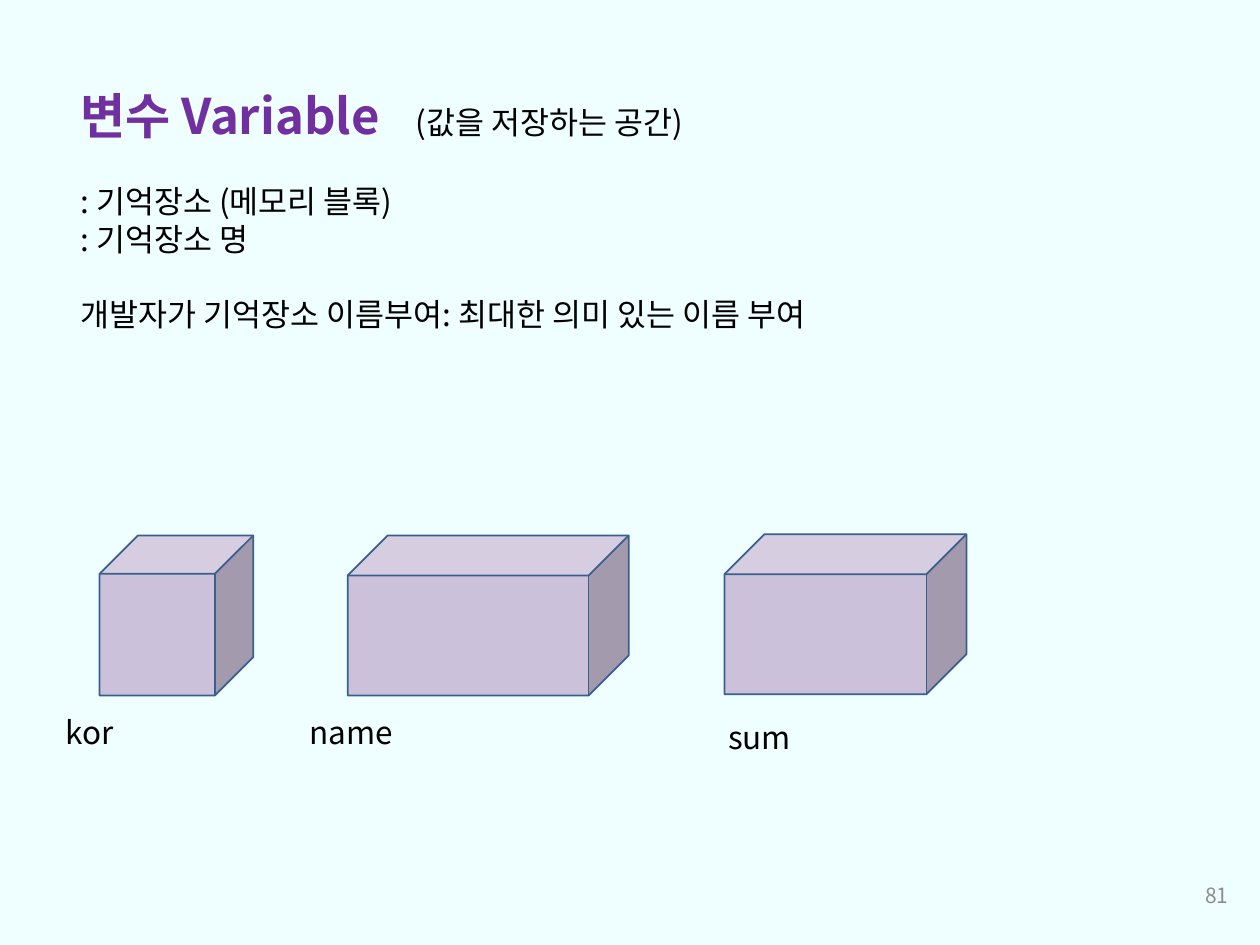
from typing import NamedTuple

from pptx import Presentation
from pptx import util as u
from pptx.dml.color import RGBColor
from pptx.enum import shapes, text
from pptx.oxml.ns import qn
from lxml import etree

FONT = "Noto Sans CJK KR"
COLORS = {
    "background": "EFFEFE",
    "title": "7030A0",
    "text": "000000",
    "cube": "CCC1DA",
    "edge": "3A5F8C",
    "number": "8C8C8C",
}
LINE_RATIO = 1.205  # line height relative to the text size
BODY_SIZE = 18
CUBE_HEIGHT = 1.27
LABEL_HEIGHT = 0.4


class Variable(NamedTuple):
    name: str
    cube_left: float
    cube_top: float
    cube_width: float
    label_left: float
    label_top: float
    label_width: float


VARIABLES = [
    Variable("kor", 0.79, 4.25, 1.22, 0.42, 5.61, 0.79),
    Variable("name", 2.76, 4.25, 2.23, 2.36, 5.61, 1.12),
    Variable("sum", 5.75, 4.24, 1.92, 5.68, 5.65, 0.79),
]


def color(name: str) -> RGBColor:
    return RGBColor.from_string(COLORS[name])


def format_run(run, size: float, color_name: str = "text", bold: bool = False) -> None:
    font = run.font
    font.size, font.bold, font.name = u.Pt(size), bold, FONT
    font.color.rgb = color(color_name)
    east_asian = etree.Element(qn("a:ea"), typeface=FONT)
    run._r.rPr.find(qn("a:latin")).addnext(east_asian)


def set_line_height(paragraph, size: float) -> None:
    paragraph.line_spacing = u.Pt(round(size * LINE_RATIO, 1))


def add_text(slide, left: float, top: float, width: float, height: float,
             content: str, size: float = BODY_SIZE, color_name: str = "text"):
    box = slide.shapes.add_textbox(*map(u.Inches, (left, top, width, height)))
    frame = box.text_frame
    frame.word_wrap = True
    frame.text = content
    for paragraph in frame.paragraphs:
        set_line_height(paragraph, size)
        for run in paragraph.runs:
            format_run(run, size, color_name)
    return frame


def add_tab_stop(paragraph, position: float) -> None:
    tabs = etree.SubElement(paragraph._p.get_or_add_pPr(), qn("a:tabLst"))
    etree.SubElement(tabs, qn("a:tab"), pos=str(u.Inches(position)), algn="l")


def add_variable(slide, variable: Variable) -> None:
    cube = slide.shapes.add_shape(
        shapes.MSO_SHAPE.CUBE, u.Inches(variable.cube_left), u.Inches(variable.cube_top),
        u.Inches(variable.cube_width), u.Inches(CUBE_HEIGHT))
    cube.shadow.inherit = False
    cube.fill.solid()
    cube.fill.fore_color.rgb = color("cube")
    cube.line.color.rgb = color("edge")
    cube.line.width = u.Pt(1)
    add_text(slide, variable.label_left, variable.label_top,
             variable.label_width, LABEL_HEIGHT, variable.name)


def add_explanation(slide) -> None:
    frame = add_text(slide, 0.54, 0.6, 8.35, 2.39, "\n".join([
        "변수 Variable",
        ": 기억장소 (메모리 블록)",
        ": 기억장소 명",
        "개발자가 기억장소 이름부여: 최대한 의미 있는 이름 부여",
    ]))
    heading, meaning, _, naming = frame.paragraphs
    # Heading with its smaller remark
    add_tab_stop(heading, 2.66)
    heading.line_spacing = u.Pt(36)
    heading.runs[0].font.size = u.Pt(28)
    heading.runs[0].font.bold = True
    heading.runs[0].font.color.rgb = color("title")
    remark = heading.add_run()
    remark.text = "\t(값을 저장하는 공간)"
    format_run(remark, BODY_SIZE)
    # One line of space before each group
    for paragraph in (meaning, naming):
        paragraph.space_before = u.Pt(21)


def main() -> None:
    presentation = Presentation()
    presentation.slide_width, presentation.slide_height = u.Inches(10), u.Inches(7.5)
    slide = presentation.slides.add_slide(presentation.slide_layouts[6])
    slide.background.fill.solid()
    slide.background.fill.fore_color.rgb = color("background")

    add_explanation(slide)

    # Memory blocks with their names
    for variable in VARIABLES:
        add_variable(slide, variable)

    # Slide number
    number = add_text(slide, 7.52, 6.9, 2.33, 0.4, "81", 12, "number")
    number.vertical_anchor = text.MSO_ANCHOR.MIDDLE
    number.paragraphs[0].alignment = text.PP_ALIGN.RIGHT

    presentation.save("out.pptx")


if __name__ == "__main__":
    main()
